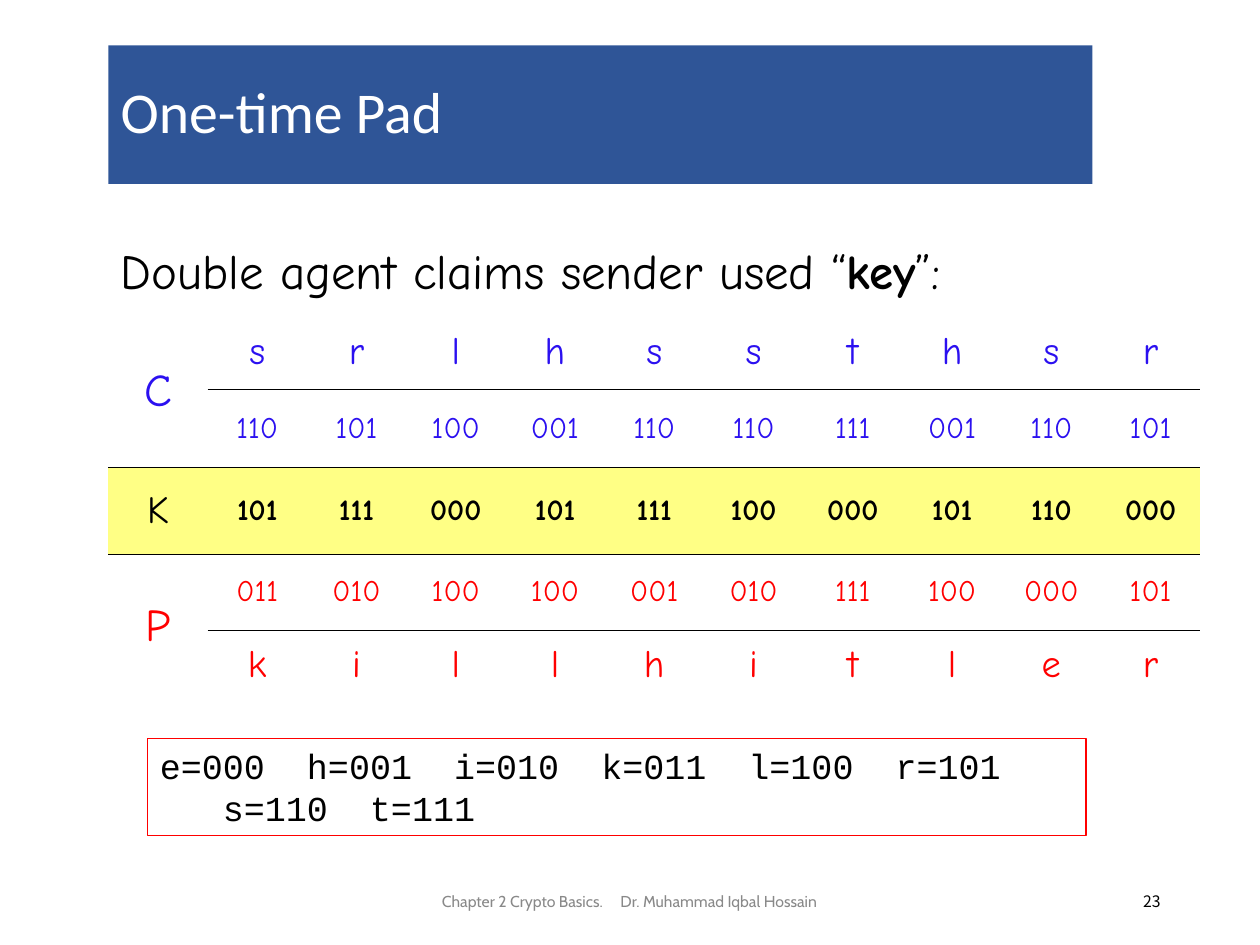
from dataclasses import dataclass

from lxml.etree import SubElement
from pptx import Presentation
from pptx.dml.color import RGBColor
from pptx.enum.shapes import MSO_SHAPE
from pptx.enum.text import MSO_ANCHOR, MSO_AUTO_SIZE, PP_ALIGN
from pptx.oxml import parse_xml
from pptx.oxml.ns import nsdecls, qn
from pptx.util import Inches, Pt


@dataclass(frozen=True)
class Theme:
    banner: str = "2F5597"
    white: str = "FFFFFF"
    black: str = "000000"
    cipher: str = "2B10F0"
    plain: str = "FF0000"
    key_fill: str = "FFFF85"
    footer: str = "898989"
    title_size: int = 33
    body_size: int = 28
    label_size: int = 26
    letter_size: int = 22
    legend_size: int = 20
    bits_size: int = 17
    footer_size: int = 9
    thin_line: float = 0.45
    thick_line: float = 1.08


THEME = Theme()
HAND_FONT = "Comic Neue"
SLIDE_WIDTH, SLIDE_HEIGHT = Inches(10), Inches(7.5)
NO_TABLE_STYLE = "{2D5ABB26-0587-4C30-8999-92F81FD0307C}"

# Each row: text, size, colour, bold, height in percent of the slide
ROWS = [
    ("s r l h s s t h s r".split(), THEME.letter_size, THEME.cipher, False, 7.87),
    ("110 101 100 001 110 110 111 001 110 101".split(),
     THEME.bits_size, THEME.cipher, False, 8.27),
    ("101 111 000 101 111 100 000 101 110 000".split(),
     THEME.bits_size, THEME.black, True, 9.2),
    ("011 010 100 100 001 010 111 100 000 101".split(),
     THEME.bits_size, THEME.plain, False, 8),
    ("k i l l h i t l e r".split(), THEME.letter_size, THEME.plain, False, 7.33),
]
# Each label: text, first row, rows spanned, size, colour
LABELS = [
    ("C", 0, 2, THEME.label_size, THEME.cipher),
    ("K", 2, 1, THEME.letter_size, THEME.black),
    ("P", 3, 2, THEME.label_size, THEME.plain),
]
KEY_ROW = 2
# Line widths of the horizontal edges, from the table's top to its bottom
EDGES = [0, THEME.thin_line, THEME.thick_line, THEME.thick_line, THEME.thin_line, 0]
ALPHABET = "ehiklrst"


def across(percent):
    return int(SLIDE_WIDTH * percent / 100)


def down(percent):
    return int(SLIDE_HEIGHT * percent / 100)


def place(left, top, width, height):
    return across(left), down(top), across(width), down(height)


def style(paragraph, font, size, color, bold=False, align=PP_ALIGN.LEFT):
    paragraph.alignment = align
    paragraph.font.name = font
    paragraph.font.size = Pt(size)
    paragraph.font.bold = bold
    paragraph.font.color.rgb = RGBColor.from_string(color)


def add_box(slide, area, fill=None, line=None):
    box = slide.shapes.add_shape(MSO_SHAPE.RECTANGLE, *place(*area))
    box.shadow.inherit = False
    if fill:
        box.fill.solid()
        box.fill.fore_color.rgb = RGBColor.from_string(fill)
    else:
        box.fill.background()
    if line:
        box.line.color.rgb = RGBColor.from_string(line)
        box.line.width = Pt(0.75)
    else:
        box.line.fill.background()
    box.text_frame.word_wrap = True
    return box.text_frame


def add_text(slide, area, runs, anchor=MSO_ANCHOR.MIDDLE):
    frame = slide.shapes.add_textbox(*place(*area)).text_frame
    frame.word_wrap = True
    frame.vertical_anchor = anchor
    paragraph = frame.paragraphs[0]
    for text in runs:
        paragraph.add_run().text = text
    return paragraph


def add_border(properties, position, side, width):
    if width:
        fill = f'<a:solidFill><a:srgbClr val="{THEME.black}"/></a:solidFill>'
    else:
        fill = "<a:noFill/>"
    properties.insert(position, parse_xml(
        f'<a:{side} {nsdecls("a")} w="{int(Pt(width))}">{fill}</a:{side}>'))


def fill_cell(cell, row, span, text, size, color, bold=False):
    cell.text = text
    cell.vertical_anchor = MSO_ANCHOR.MIDDLE
    style(cell.text_frame.paragraphs[0], HAND_FONT, size, color, bold, PP_ALIGN.CENTER)
    if row == KEY_ROW:
        cell.fill.solid()
        cell.fill.fore_color.rgb = RGBColor.from_string(THEME.key_fill)
    else:
        cell.fill.background()
    properties = cell._tc.get_or_add_tcPr()
    borders = [("lnL", 0), ("lnR", 0), ("lnT", EDGES[row]), ("lnB", EDGES[row + span])]
    for position, (side, width) in enumerate(borders):
        add_border(properties, position, side, width)


def add_cipher_table(slide):
    columns = len(ROWS[0][0]) + 1
    area = place(8.6, 33.33, 86.7, sum(row[-1] for row in ROWS))
    table = slide.shapes.add_table(len(ROWS), columns, *area).table
    table.first_row = table.horz_banding = False
    table._tbl.tblPr.find(qn("a:tableStyleId")).text = NO_TABLE_STYLE
    for row, (texts, size, color, bold, height) in enumerate(ROWS):
        table.rows[row].height = down(height)
        for column, text in enumerate(texts, start=1):
            fill_cell(table.cell(row, column), row, 1, text, size, color, bold)
    for text, row, span, size, color in LABELS:
        cell = table.cell(row, 0)
        if span > 1:
            cell.merge(table.cell(row + span - 1, 0))
        fill_cell(cell, row, span, text, size, color)


def add_legend(slide):
    frame = add_box(slide, (11.7, 78.13, 74.5, 10.27), line=THEME.plain)
    frame.vertical_anchor = MSO_ANCHOR.TOP
    frame.auto_size = MSO_AUTO_SIZE.SHAPE_TO_FIT_TEXT
    paragraph = frame.paragraphs[0]
    paragraph.text = "  ".join(
        f"{letter}={code:03b}" for code, letter in enumerate(ALPHABET))
    # Hanging indent for the wrapped line
    properties = paragraph._p.get_or_add_pPr()
    properties.set("marL", str(Inches(0.5)))
    properties.set("indent", str(-Inches(0.5)))
    SubElement(properties, qn("a:buNone"))
    style(paragraph, "Courier New", THEME.legend_size, THEME.black)


def add_footer(slide):
    footer = add_text(slide, (33.1, 92.67, 33.7, 5.33),
                      ["Chapter 2 Crypto Basics.", " ", "Dr. Muhammad Iqbal Hossain"])
    style(footer, "Cabin", THEME.footer_size, THEME.footer, align=PP_ALIGN.CENTER)
    # Widen the space between chapter and author
    footer.runs[1].font._element.set("spc", "820")
    number = add_text(slide, (70.6, 92.67, 22.5, 5.33), ["23"])
    style(number, "Noto Sans CJK KR", THEME.footer_size, THEME.black, align=PP_ALIGN.RIGHT)


def main():
    presentation = Presentation()
    presentation.slide_width, presentation.slide_height = SLIDE_WIDTH, SLIDE_HEIGHT
    slide = presentation.slides.add_slide(presentation.slide_layouts[6])

    # Title banner
    title = add_box(slide, (8.6, 4.8, 78.1, 14.67), fill=THEME.banner).paragraphs[0]
    title.text = "One-time Pad"
    title.line_spacing = 0.9
    style(title, "Calibri", THEME.title_size, THEME.white)

    # Claim and table
    claim = add_text(slide, (8.6, 24.8, 78.9, 7.6),
                     ["Double agent claims sender used “", "key", "”:"], MSO_ANCHOR.TOP)
    style(claim, HAND_FONT, THEME.body_size, THEME.black)
    claim.runs[1].font.bold = True
    add_cipher_table(slide)

    # Letter codes and footer
    add_legend(slide)
    add_footer(slide)
    presentation.save("out.pptx")


if __name__ == "__main__":
    main()
